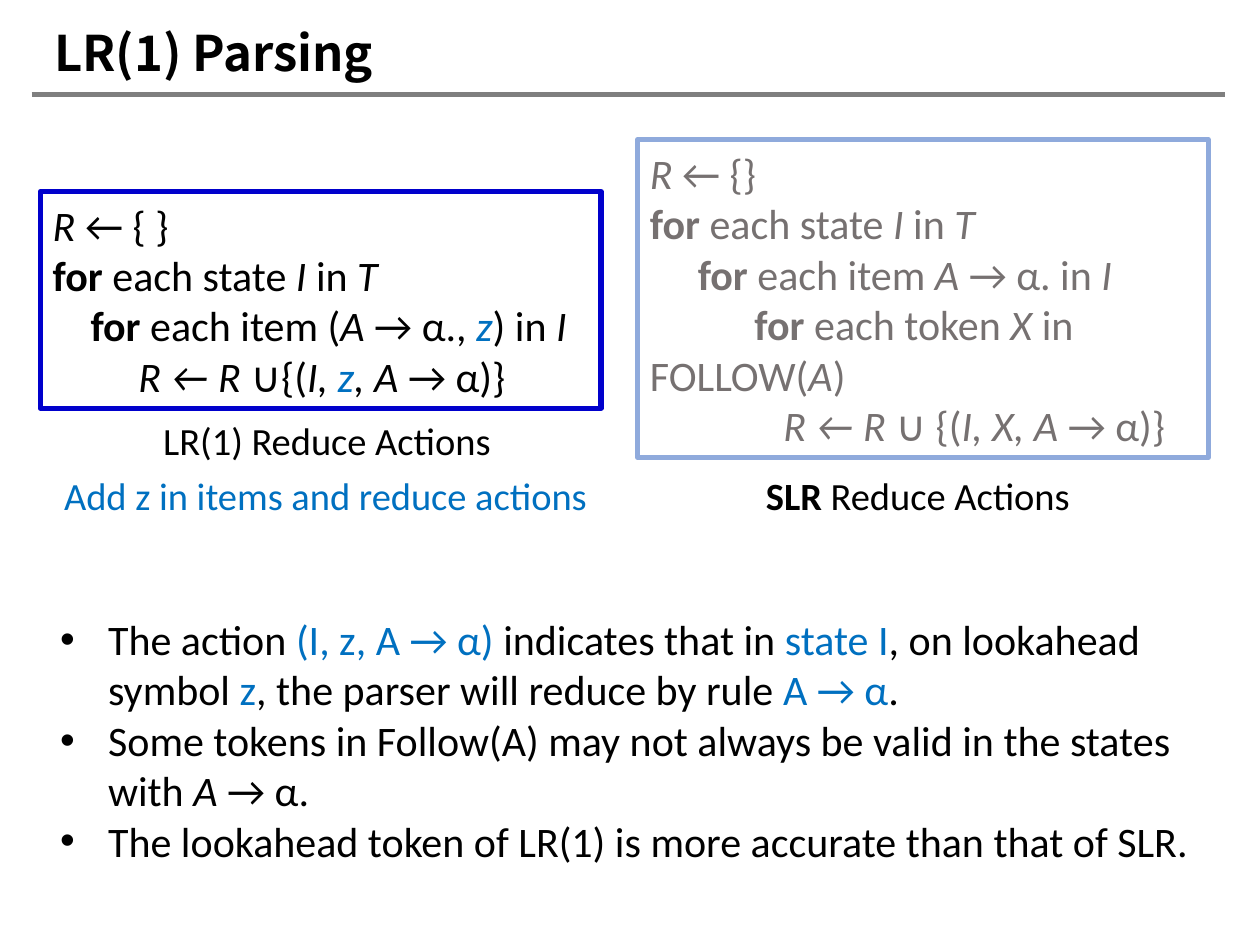
"""Build the slide that compares LR(1) and SLR reduce actions."""
from dataclasses import dataclass

import lxml.etree
import pptx
import pptx.dml.color
import pptx.enum.shapes
import pptx.enum.text
import pptx.oxml.ns
import pptx.util

Inches = pptx.util.Inches
RGB = pptx.dml.color.RGBColor.from_string
Align = pptx.enum.text.PP_ALIGN
Anchor = pptx.enum.text.MSO_ANCHOR
Span = tuple[str, str]


@dataclass(frozen=True)
class Theme:
    """Colours, fonts and type sizes of the slide."""
    ink: str = "000000"
    accent: str = "0070C0"
    muted: str = "767171"
    rule: str = "7F7F7F"
    strong_frame: str = "0000CC"
    pale_frame: str = "8FAADC"
    body_font: str = "Calibri"
    title_font: str = "Noto Sans CJK SC"
    title_size: int = 28
    body_size: int = 24
    caption_size: int = 22
    line_width: int = 3


THEME = Theme()


@dataclass(frozen=True)
class Line:
    """One paragraph: spans with style letters b, i, a (accent), and indents."""
    spans: tuple[Span, ...]
    first: float = 0
    left: float = 0
    bullet: str = ""


@dataclass(frozen=True)
class Block:
    """A text block with its place, type and optional frame."""
    place: tuple[float, float, float, float]
    lines: tuple[Line, ...]
    size: int = THEME.body_size
    colour: str = THEME.ink
    align: Align = Align.LEFT
    frame: str = ""


def bullet(*spans: Span) -> Line:
    """Return a paragraph with a hanging bullet."""
    return Line(spans, first=-0.38, left=0.38, bullet="•")


def caption(left: float, top: float, width: float, align: Align, *spans: Span) -> Block:
    """Return a one-line caption block."""
    return Block((left, top, width, 0.47), (Line(spans),), THEME.caption_size, align=align)


STATE_LOOP = Line((("for", "b"), (" each state ", ""), ("I", "i"), (" in ", ""), ("T", "i")))

BLOCKS = (
    Block((0.32, 1.52, 4.45, 1.72), (
        Line((("R", "i"), (" ← { }", ""))),
        STATE_LOOP,
        Line((("for", "b"), (" each item (", ""), ("A", "i"), (" → α., ", ""),
              ("z", "ia"), (") in ", ""), ("I", "i")), first=0.3),
        Line((("R ← R", "i"), (" ∪{(", ""), ("I, ", "i"), ("z", "ia"),
              (", A", "i"), (" → α)}", "")), first=0.68),
    ), frame=THEME.strong_frame),
    Block((5.06, 1.11, 4.53, 2.52), (
        Line((("R", "i"), (" ← {}", ""))),
        STATE_LOOP,
        Line((("for ", "b"), ("each item ", ""), ("A", "i"), (" → α. in ", ""),
              ("I", "i")), first=0.38),
        Line((("for ", "b"), ("each token ", ""), ("X", "i"), (" in FOLLOW(", ""),
              ("A", "i"), (")", "")), first=0.83),
        Line((("R ← R", "i"), (" ∪ {(", ""), ("I, X, A", "i"), (" → α)}", "")),
             first=1.06),
    ), colour=THEME.muted, frame=THEME.pale_frame),
    caption(0.42, 3.26, 4.35, Align.CENTER, ("LR(1) Reduce Actions", "")),
    caption(0.41, 3.7, 4.42, Align.LEFT, ("Add z in items and reduce actions", "a")),
    caption(5.11, 3.7, 4.35, Align.CENTER, ("SLR ", "b"), ("Reduce Actions", "")),
    Block((0.38, 4.82, 9.24, 2.12), (
        bullet(("The action ", ""), ("(I, z, A → α) ", "a"), ("indicates that in ", ""),
               ("state I", "a"), (", on lookahead symbol ", ""), ("z", "a"),
               (", the parser will reduce by rule ", ""), ("A → α", "a"), (".", "")),
        bullet(("Some tokens in Follow(A) may not always be valid in the states with ", ""),
               ("A", "i"), (" → α.", "")),
        bullet(("The lookahead token of LR(1) is more accurate than that of SLR.", "")),
    )),
)


def apply_format(target, values: dict) -> None:
    """Set each named attribute of the target."""
    for name, value in values.items():
        setattr(target, name, value)


def add_span(para, text: str, colour: str, values: dict) -> None:
    """Append a formatted run to a paragraph."""
    span = para.add_run()
    span.text = text
    apply_format(span.font, values)
    span.font.color.rgb = RGB(colour)


def write_line(para, line: Line, block: Block) -> None:
    """Fill a paragraph with its spans, indents and bullet."""
    para.alignment = block.align
    properties = para._p.get_or_add_pPr()
    properties.set("marL", str(Inches(line.left)))
    properties.set("indent", str(Inches(line.first)))
    if line.bullet:
        for tag, key, value in (("a:buFont", "typeface", "Arial"),
                                ("a:buChar", "char", line.bullet)):
            lxml.etree.SubElement(properties, pptx.oxml.ns.qn(tag)).set(key, value)
    for text, style in line.spans:
        add_span(para, text, THEME.accent if "a" in style else block.colour, {
            "name": THEME.body_font, "size": pptx.util.Pt(block.size),
            "bold": "b" in style, "italic": "i" in style})


def draw_block(page, block: Block) -> None:
    """Draw a text block, framed when it has a frame colour."""
    place = [Inches(value) for value in block.place]
    if block.frame:
        box = page.shapes.add_shape(pptx.enum.shapes.MSO_SHAPE.RECTANGLE, *place)
        box.shadow.inherit = False
        box.fill.background()
        box.line.color.rgb = RGB(block.frame)
        box.line.width = pptx.util.Pt(THEME.line_width)
    else:
        box = page.shapes.add_textbox(*place)
    frame = box.text_frame
    apply_format(frame, {
        "word_wrap": True,
        "vertical_anchor": Anchor.MIDDLE if block.frame else Anchor.TOP})
    for index, line in enumerate(block.lines):
        para = frame.add_paragraph() if index else frame.paragraphs[0]
        write_line(para, line, block)


def draw_title(page, text: str) -> None:
    """Place the title and the rule below it."""
    title = page.shapes.title
    apply_format(title, {"left": Inches(0.43), "top": Inches(0.17),
                         "width": Inches(9.24), "height": Inches(0.48)})
    apply_format(title.text_frame, {
        "margin_left": 0, "margin_right": 0, "margin_top": Inches(0.01),
        "margin_bottom": 0, "vertical_anchor": Anchor.MIDDLE, "word_wrap": True,
        "auto_size": pptx.enum.text.MSO_AUTO_SIZE.NONE})
    para = title.text_frame.paragraphs[0]
    para.alignment = Align.LEFT
    add_span(para, text, THEME.ink, {
        "name": THEME.title_font, "size": pptx.util.Pt(THEME.title_size), "bold": True})
    rule = page.shapes.add_connector(
        pptx.enum.shapes.MSO_CONNECTOR.STRAIGHT,
        Inches(0.25), Inches(0.75), Inches(9.72), Inches(0.75))
    rule.line.color.rgb = RGB(THEME.rule)
    rule.line.width = pptx.util.Pt(THEME.line_width)
    lxml.etree.SubElement(rule._element.spPr, pptx.oxml.ns.qn("a:effectLst"))


def main() -> None:
    """Build and save the deck."""
    deck = pptx.Presentation()
    apply_format(deck, {"slide_width": Inches(10), "slide_height": Inches(7.5)})
    page = deck.slides.add_slide(deck.slide_layouts.get_by_name("Title Only"))
    draw_title(page, "LR(1) Parsing")
    for block in BLOCKS:
        draw_block(page, block)
    deck.save("out.pptx")


if __name__ == "__main__":
    main()
